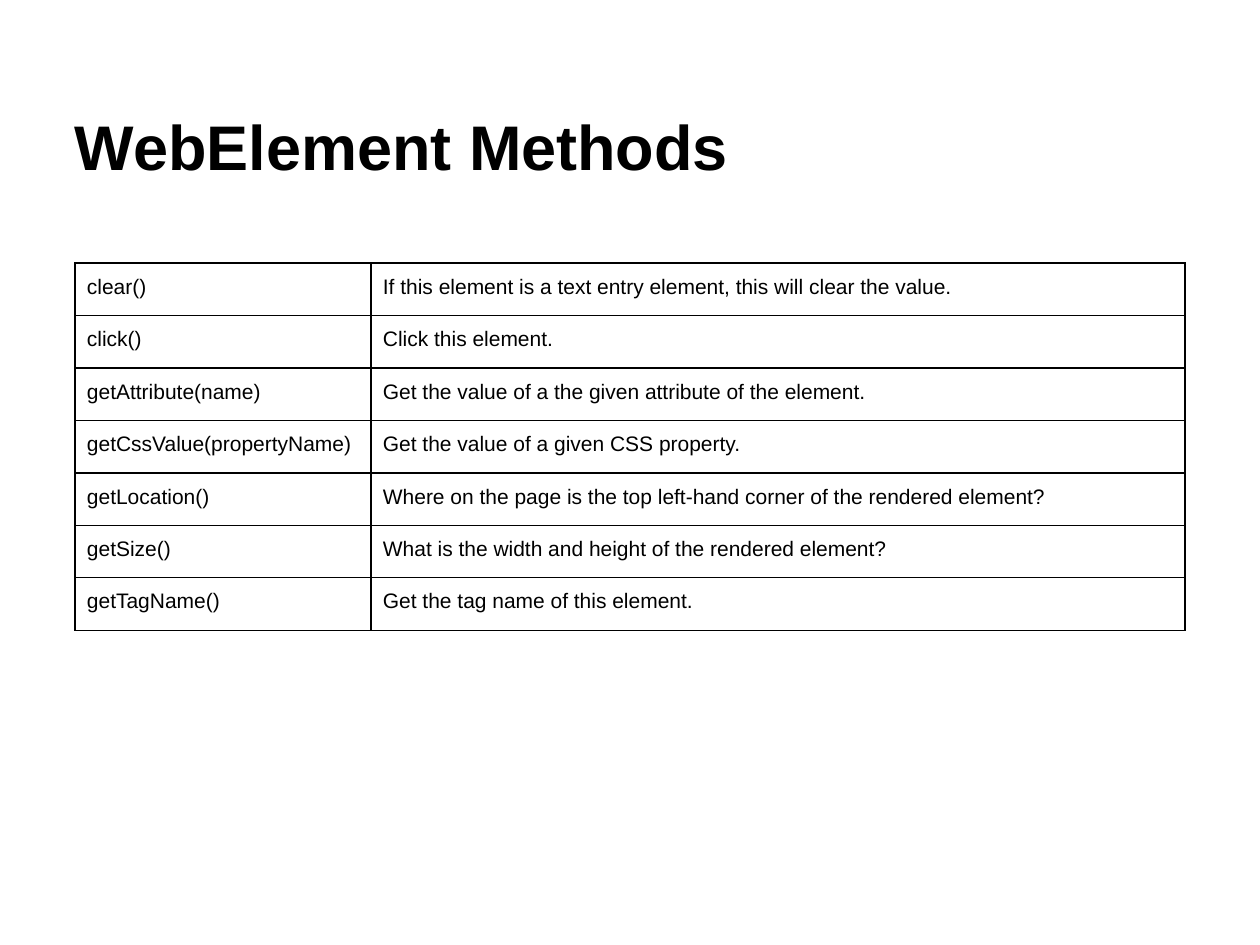
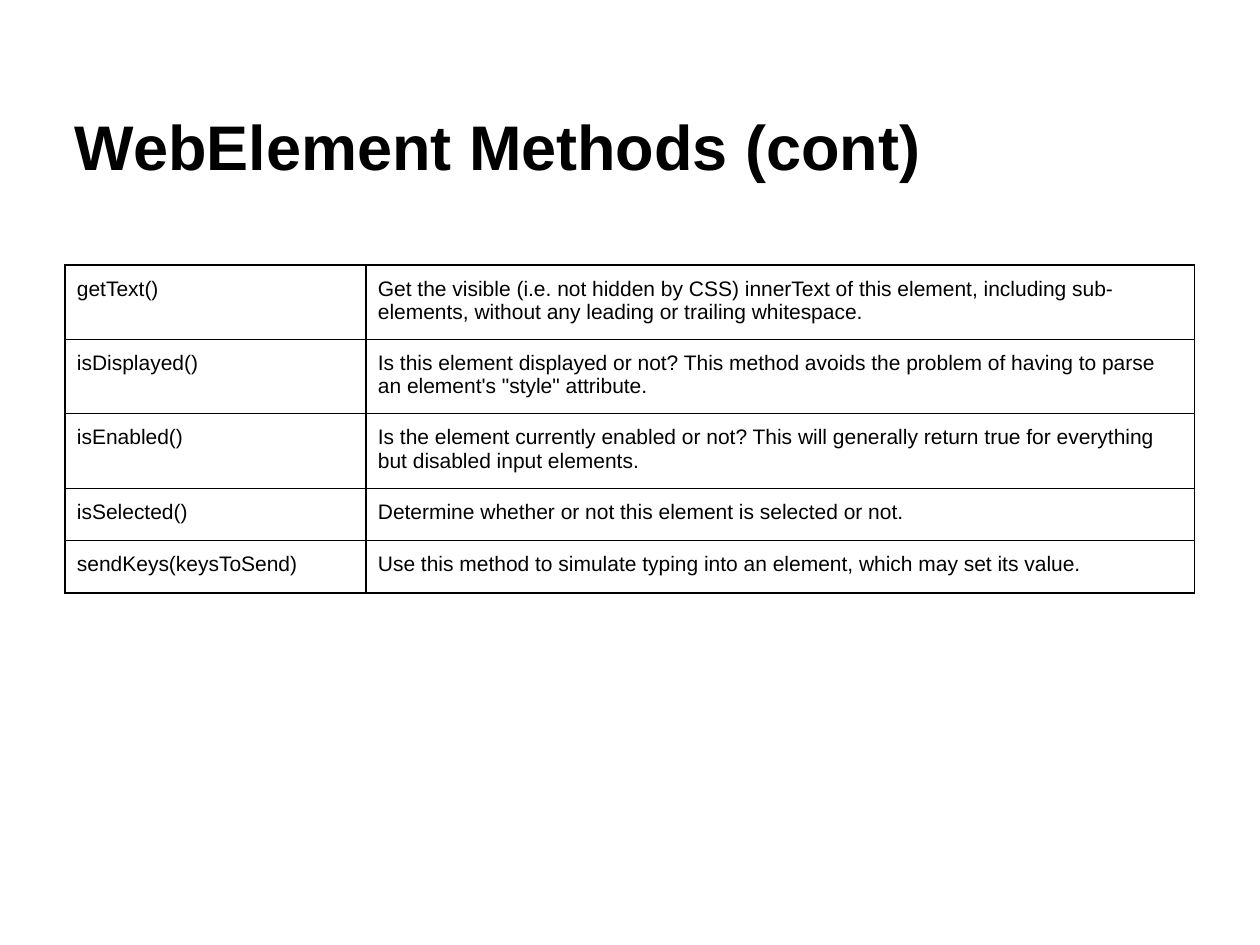
import pptx
import pptx.dml.color
import pptx.enum.text
import pptx.oxml
import pptx.oxml.ns
import pptx.util

PX = pptx.util.Inches(1) / 126
FONT = "Arial"
INK = "000000"
PAPER = "FFFFFF"
INSET = 12
TWO_ROWS = 105
BORDER_WIDTH = pptx.util.Pt(0.75)

ELEMENT_METHODS = [
    ("clear()", "If this element is a text entry element, this will clear the value."),
    ("click()", "Click this element."),
    ("getAttribute(name)", "Get the value of a the given attribute of the element."),
    ("getCssValue(propertyName)", "Get the value of a given CSS property."),
    ("getLocation()", "Where on the page is the top left-hand corner of the rendered element?"),
    ("getSize()", "What is the width and height of the rendered element?"),
    ("getTagName()", "Get the tag name of this element."),
]
MORE_METHODS = [
    ("getText()", "Get the visible (i.e. not hidden by CSS) innerText of this element, "
     "including sub-elements, without any leading or trailing whitespace."),
    ("isDisplayed()", "Is this element displayed or not? This method avoids the problem "
     "of having to parse an element's \"style\" attribute."),
    ("isEnabled()", "Is the element currently enabled or not? This will generally return "
     "true for everything but disabled input elements."),
    ("isSelected()", "Determine whether or not this element is selected or not."),
    ("sendKeys(keysToSend)", "Use this method to simulate typing into an element, "
     "which may set its value."),
]


def px(length):
    return pptx.util.Emu(round(length * PX))


def rgb(code):
    return pptx.dml.color.RGBColor.from_string(code)


def set_margins(holder):
    """Give a text frame or table cell the same inset on every side."""
    holder.margin_left = holder.margin_right = px(INSET)
    holder.margin_top = holder.margin_bottom = px(INSET)


def write(frame, text, size, bold=False):
    paragraph = frame.paragraphs[0]
    paragraph.text = text
    font = paragraph.font
    font.name, font.size, font.bold = FONT, pptx.util.Pt(size), bold
    font.color.rgb = rgb(INK)


def add_titled_slide(deck, title):
    slide = deck.slides.add_slide(deck.slide_layouts[6])
    slide.background.fill.solid()
    slide.background.fill.fore_color.rgb = rgb(PAPER)
    frame = slide.shapes.add_textbox(px(63), px(38), px(1134), px(157)).text_frame
    frame.word_wrap = True
    frame.vertical_anchor = pptx.enum.text.MSO_ANCHOR.BOTTOM
    set_margins(frame)
    write(frame, title, 36, bold=True)
    return slide


def add_borders(cell):
    properties = cell._tc.get_or_add_tcPr()
    for side in "LRTB":
        properties.append(pptx.oxml.parse_xml(
            f'<a:ln{side} {pptx.oxml.ns.nsdecls("a")} w="{BORDER_WIDTH}">'
            f'<a:solidFill><a:srgbClr val="{INK}"/></a:solidFill></a:ln{side}>'))


def add_method_table(slide, left, top, column_widths, methods):
    height = len(methods) * TWO_ROWS / 2
    table = slide.shapes.add_table(len(methods), len(column_widths), px(left), px(top),
                                   px(sum(column_widths)), px(height)).table
    table.first_row = table.horz_banding = False
    for column, width in zip(table.columns, column_widths):
        column.width = px(width)
    for row, method in zip(table.rows, methods):
        row.height = px(TWO_ROWS / 2)
        for cell, text in zip(row.cells, method):
            set_margins(cell)
            add_borders(cell)
            cell.fill.background()
            write(cell.text_frame, text, 12)


def main():
    deck = pptx.Presentation()
    deck.slide_width, deck.slide_height = px(1260), px(945)
    slide = add_titled_slide(deck, "WebElement Methods")
    add_method_table(slide, 75, 263, (296, 814), ELEMENT_METHODS)
    slide = add_titled_slide(deck, "WebElement Methods (cont)")
    add_method_table(slide, 65, 265, (301, 829), MORE_METHODS)
    deck.save("out.pptx")


if __name__ == "__main__":
    main()
